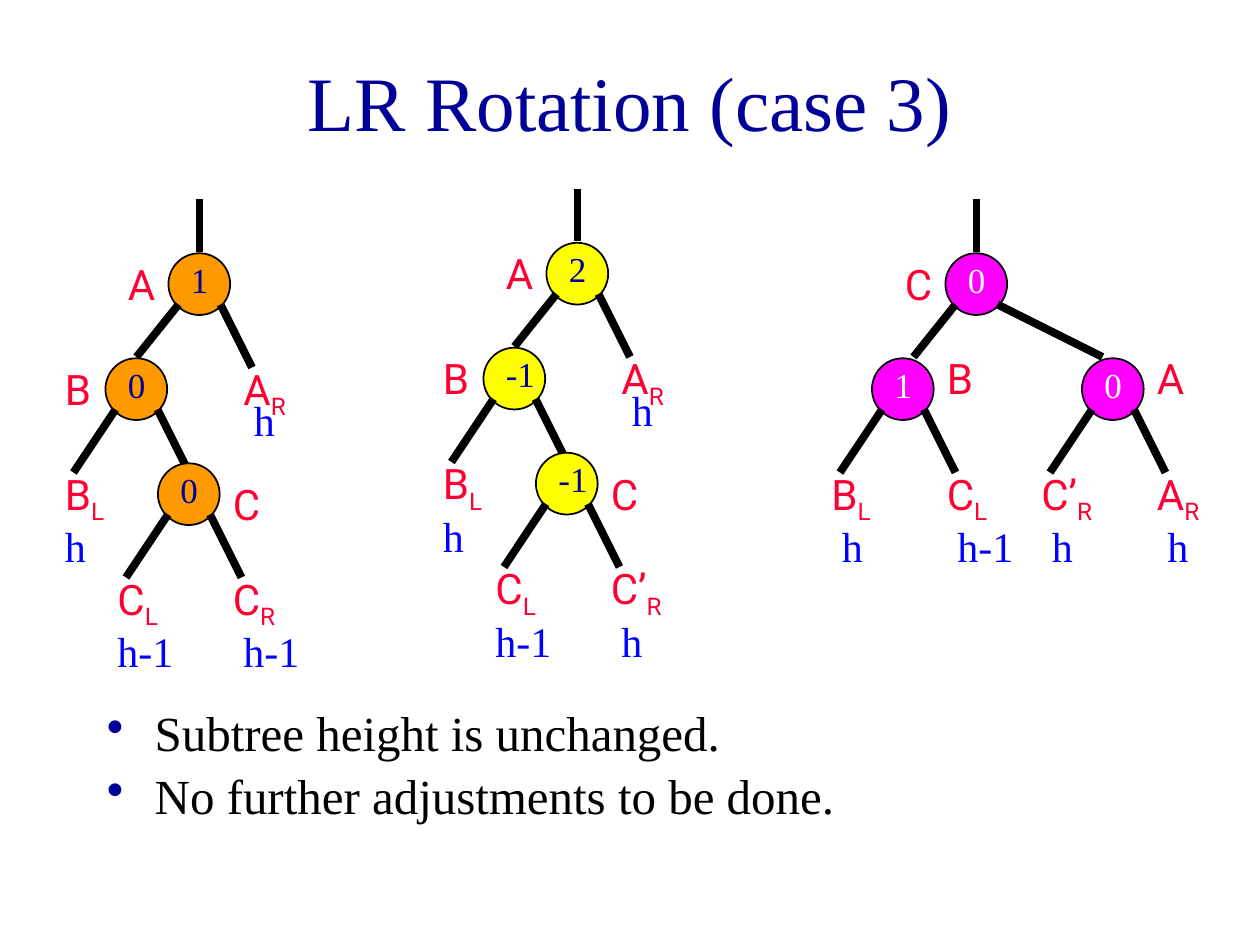
from lxml import etree
from pptx import Presentation, util as u
from pptx.dml.color import RGBColor
from pptx.enum import shapes, text
from pptx.oxml.ns import qn

theme = {
    "title": {"name": "Times New Roman", "size": 44, "color": "000099"},
    "body": {"name": "Times New Roman", "size": 28, "color": "000000"},
    "label": {"name": "Roboto", "size": 24, "color": "FF0033"},
    "height": {"name": "Times New Roman", "size": 24, "color": "0000FF"},
    "dark": {"name": "Times New Roman", "size": 20, "color": "000099"},
    "light": {"name": "Times New Roman", "size": 20, "color": "FFFFFF"},
    "line": "000000", "bullet": "000099",
    "orange": "FF9900", "yellow": "FFFF00", "pink": "FF00FF",
}
unit = 1 / 12


def write(pool, box, lines, style, form={}):
    frame = pool.add_textbox(*map(u.Inches, box)).text_frame
    frame.word_wrap = True
    for i, line in enumerate(lines):
        para = frame.add_paragraph() if i else frame.paragraphs[0]
        for key, val in form.items():
            setattr(para, key, val)
        for j, part in enumerate(line.split("_")):
            run = para.add_run()
            run.text = part
            for key, val in theme[style].items():
                if key == "color":
                    run.font.color.rgb = RGBColor.from_string(val)
                else:
                    setattr(run.font, key, u.Pt(val) if key == "size" else val)
            if j:
                run._r.get_or_add_rPr().set("baseline", "-25000")
    return frame


def join(pool, *ends):
    line = pool.add_connector(shapes.MSO_CONNECTOR.STRAIGHT, *[u.Inches(e * unit) for e in ends])
    line.line.width = u.Pt(4.5)
    line.line.color.rgb = RGBColor.from_string(theme["line"])
    etree.SubElement(line._element.spPr, qn("a:effectLst"))


deck = Presentation()
deck.slide_width, deck.slide_height = u.Inches(10), u.Inches(7.5)
slide = deck.slides.add_slide(deck.slide_layouts[6])

title = write(slide.shapes, (0.75, 0.17, 8.5, 1.25), ["LR Rotation (case 3)"], "title",
              {"alignment": text.PP_ALIGN.CENTER})
title.vertical_anchor = text.MSO_ANCHOR.MIDDLE

notes = write(slide.shapes, (0.75, 5.58, 6.17, 1),
              ["Subtree height is unchanged.", "No further adjustments to be done."],
              "body", {"line_spacing": 0.9, "space_before": u.Pt(5.6)})
for para in notes.paragraphs:
    props = para._p.get_or_add_pPr()
    props.set("marL", str(u.Inches(0.38)))
    props.set("indent", str(-u.Inches(0.38)))
    tint = etree.SubElement(props, qn("a:buClr"))
    etree.SubElement(tint, qn("a:srgbClr"), val=theme["bullet"])
    etree.SubElement(props, qn("a:buChar"), char="•")

west, low, high = (-6, 0), (5, 1), (5, -1)
# node: x, y, balance, name, name offset, left end, right end, subtrees (label, height, label offset, height offset)
trees = [
    (5, 19, "orange", "dark", [
        (12, 5, "1", "A", west, (-4, 10), (7, 11), [("A_R", "h", 5, 6, 13)]),
        (6, 15, "0", "B", west, (-4, 11), (7, 11), [("B_L", "h", -6, -6, 15)]),
        (11, 25, "0", "C", low, (-4, 11), (7, 11),
         [("C_L", "h-1", -6, -6, 15), ("C_R", "h-1", 5, 6, 15)]),
    ]),
    (41, 18, "yellow", "dark", [
        (12, 5, "2", "A", west, (-4, 10), (7, 11), [("A_R", "h", 5, 6, 13)]),
        (6, 15, "-1", "B", west, (-4, 11), (7, 11), [("B_L", "h", -6, -6, 15)]),
        (11, 25, "-1", "C", low, (-4, 11), (7, 11),
         [("C_L", "h-1", -6, -6, 15), ("C’_R", "h", 5, 6, 15)]),
    ]),
    (78, 19, "pink", "light", [
        (13, 5, "0", "C", west, (-4, 10), (14, 10), []),
        (6, 15, "1", "B", high, (-4, 11), (7, 11),
         [("B_L", "h", -6, -5, 15), ("C_L", "h-1", 5, 6, 15)]),
        (26, 15, "0", "A", high, (-4, 11), (7, 11),
         [("C’_R", "h", -6, -5, 15), ("A_R", "h", 5, 6, 15)]),
    ]),
]

for left, top, fill, ink, nodes in trees:
    pool = slide.shapes.add_group_shape().shapes
    stem = left + nodes[0][0] + 2
    join(pool, stem, top + 5, stem, top)
    for dx, dy, value, name, shift, lend, rend, subs in nodes:
        x, y = left + dx, top + dy
        disc = pool.add_shape(shapes.MSO_SHAPE.OVAL, u.Inches(x * unit - 0.08),
                              u.Inches(y * unit + 0.01), u.Inches(0.49), u.Inches(0.49))
        disc.shadow.inherit = False
        disc.fill.solid()
        disc.fill.fore_color.rgb = RGBColor.from_string(theme[fill])
        disc.line.color.rgb = RGBColor.from_string(theme["line"])
        disc.line.width = u.Pt(1)
        for start, (ex, ey) in ((0, lend), (4, rend)):
            join(pool, x + start, y + 5, x + ex, y + ey)
        write(pool, (x * unit, y * unit, 0.5, 0.43), [value], ink)
        marks = [(name, "label", *shift, 0.4)]
        for label, height, lx, hx, hy in subs:
            marks += [(label, "label", lx, 10, 0.75), (height, "height", hx, hy, 0.75)]
        for word, style, mx, my, wide in marks:
            write(pool, ((x + mx) * unit, (y + my) * unit, wide, 0.5), [word], style)

deck.save("out.pptx")
